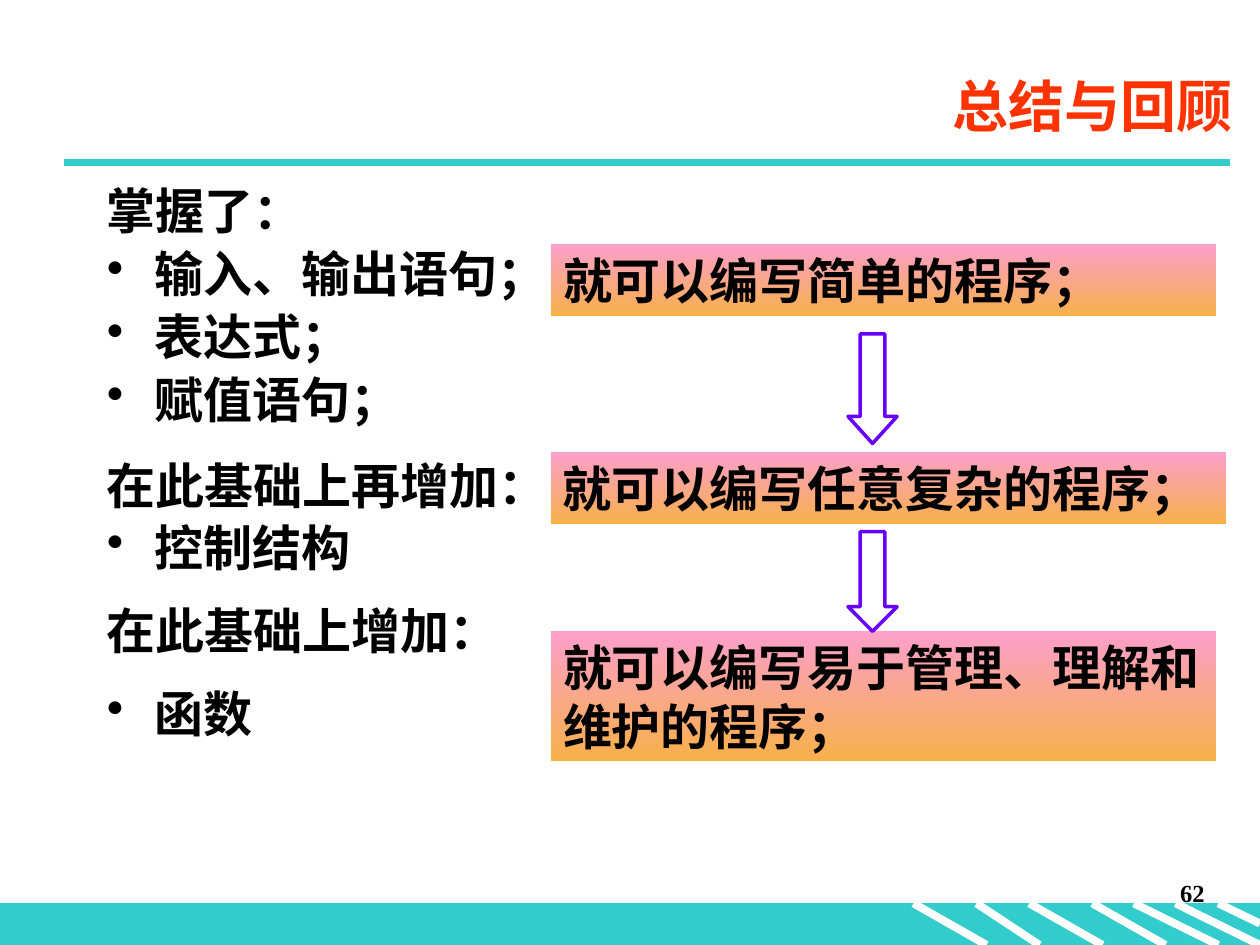
from pptx import Presentation, util as u
from pptx.dml.color import RGBColor
from pptx.enum import shapes, text
from pptx.oxml.ns import qn
from lxml import etree

TEAL, WHITE, BLACK = "33CCCC", "FFFFFF", "000000"


def color(code):
    return RGBColor.from_string(code)


def style(par, size, code=BLACK):
    """Set the bold serif face that all the text shares."""
    font = par.font
    font.name, font.bold, font.size = "Times New Roman", True, u.Pt(size)
    font.color.rgb = color(code)


deck = Presentation()
deck.slide_width, deck.slide_height = u.Inches(10), u.Inches(7.5)
page = deck.slides.add_slide(deck.slide_layouts[6])
items = page.shapes

# Footer band
band = items.add_shape(shapes.MSO_SHAPE.RECTANGLE, u.Inches(0), u.Inches(7.17),
                       u.Inches(10), u.Inches(0.33))
band.shadow.inherit = False
band.fill.solid()
band.fill.fore_color.rgb = color(TEAL)
band.line.color.rgb = color(TEAL)
band.line.width = u.Pt(0.75)

# White stripes on the band, then the rule under the title
lines = [(x, 7.17, end, 7.5, WHITE) for x, end in
         [(7.25, 7.83), (7.75, 8.25), (8.17, 8.75), (8.67, 9.25),
          (9, 9.67), (9.33, 10)]]
lines += [(9.67, 7.17, 10, 7.33, WHITE), (0.51, 1.29, 9.76, 1.29, TEAL)]
for *ends, code in lines:
    line = items.add_connector(shapes.MSO_CONNECTOR.STRAIGHT,
                               *[u.Inches(v) for v in ends])
    line.line.color.rgb = color(code)
    line.line.width = u.Pt(4.5)
    etree.SubElement(line._element.spPr, qn("a:effectLst"))

# Page number and title
for words, spot, size, code, anchor in [
        ("62", (7.58, 6.92, 2.08, 0.5), 14, BLACK, text.MSO_ANCHOR.TOP),
        ("总结与回顾", (1.38, 0.44, 8.5, 0.79), 32, "FF3300",
         text.MSO_ANCHOR.MIDDLE)]:
    frame = items.add_textbox(*[u.Inches(v) for v in spot]).text_frame
    frame.word_wrap = True
    frame.vertical_anchor = anchor
    par = frame.paragraphs[0]
    par.text = words
    par.alignment = text.PP_ALIGN.RIGHT
    style(par, size, code)

# Topics: words, bulleted, space before in points
topics = [
    ("掌握了：", False, 0),
    ("输入、输出语句；", True, 5.6),
    ("表达式；", True, 5.6),
    ("赋值语句；", True, 5.6),
    ("在此基础上再增加：", False, 18.8),
    ("控制结构", True, 5.6),
    ("在此基础上增加：", False, 17.2),
    ("函数", True, 17.2),
]
frame = items.add_textbox(u.Inches(0.75), u.Inches(1.44),
                          u.Inches(8.5), u.Inches(5.04)).text_frame
frame.word_wrap = True
for i, (words, dot, gap) in enumerate(topics):
    par = frame.add_paragraph() if i else frame.paragraphs[0]
    par.text = words
    par.line_spacing = 0.9
    par.space_before = u.Pt(gap)
    style(par, 28)
    props = par._p.get_or_add_pPr()
    props.set("marL", str(u.Inches(0.38)))
    props.set("indent", str(u.Inches(-0.38)))
    if dot:
        mark = etree.Element(qn("a:buChar"), char="•")
        props.find(qn("a:defRPr")).addprevious(mark)

# What each step makes possible
for words, top, width, height in [
        ("就可以编写简单的程序；", 1.94, 5.28, 0.57),
        ("就可以编写任意复杂的程序；", 3.59, 5.36, 0.57),
        ("就可以编写易于管理、理解和维护的程序；", 5.01, 5.28, 1.03)]:
    box = items.add_shape(shapes.MSO_SHAPE.RECTANGLE, u.Inches(4.37),
                          u.Inches(top), u.Inches(width), u.Inches(height))
    box.shadow.inherit = False
    box.line.fill.background()
    box.fill.gradient()
    box.fill.gradient_angle = 270
    for stop, code in zip(box.fill.gradient_stops, ("FC9FCB", "F8B049")):
        stop.color.rgb = color(code)
    frame = box.text_frame
    frame.word_wrap = True
    frame.vertical_anchor = text.MSO_ANCHOR.TOP
    par = frame.paragraphs[0]
    par.text = words
    par.alignment = text.PP_ALIGN.LEFT
    style(par, 28)

# Arrows between the boxes
for top, height, head in [(2.65, 0.87, 0.55), (4.22, 0.79, 0.5)]:
    arrow = items.add_shape(shapes.MSO_SHAPE.DOWN_ARROW, u.Inches(6.73),
                            u.Inches(top), u.Inches(0.39), u.Inches(height))
    arrow.shadow.inherit = False
    arrow.adjustments[0], arrow.adjustments[1] = 0.5, head
    arrow.fill.background()
    arrow.line.color.rgb = color("6600FF")
    arrow.line.width = u.Pt(2)

deck.save("out.pptx")
